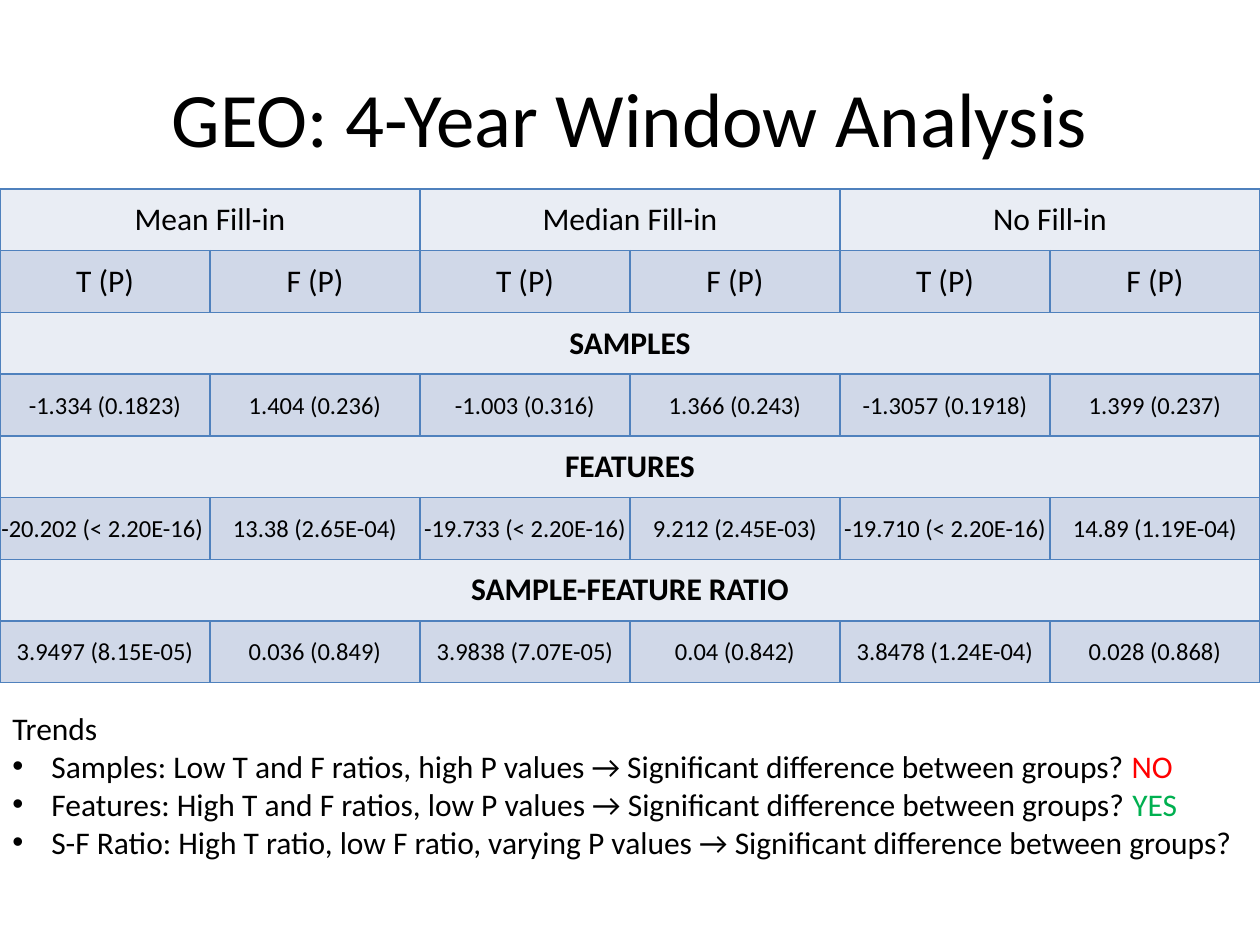
import pptx
import pptx.util
import pptx.dml.color
import pptx.enum.text
import pptx.oxml.ns
import lxml.etree

Inches = pptx.util.Inches
ALIGN = pptx.enum.text.PP_ALIGN
MIDDLE = pptx.enum.text.MSO_ANCHOR.MIDDLE

FONT = "Calibri"
COLORS = {
    "text": "000000",
    "no": "FF0000",
    "yes": "00B050",
    "light_band": "E9EDF4",
    "dark_band": "D0D8E8",
    "border": "4F81BD",
}

FILL_INS = ["Mean Fill-in", "Median Fill-in", "No Fill-in"]
COLUMNS = 2 * len(FILL_INS)
# Each section: heading and its row of statistics
SECTIONS = [
    ("SAMPLES", ["-1.334 (0.1823)", "1.404 (0.236)", "-1.003 (0.316)",
                 "1.366 (0.243)", "-1.3057 (0.1918)", "1.399 (0.237)"]),
    ("FEATURES", ["-20.202 (< 2.20E-16) ", "13.38 (2.65E-04)", "-19.733 (< 2.20E-16)",
                  "9.212 (2.45E-03)", "-19.710 (< 2.20E-16)", "14.89 (1.19E-04)"]),
    ("SAMPLE-FEATURE RATIO", ["3.9497 (8.15E-05)", "0.036 (0.849)", "3.9838 (7.07E-05)",
                              "0.04 (0.842)", "3.8478 (1.24E-04)", "0.028 (0.868)"]),
]
QUESTION = " → Significant difference between groups?"
TRENDS = [
    [("Samples: Low T and F ratios, high P values" + QUESTION + " ", "text"), ("NO", "no")],
    [("Features: High T and F ratios, low P values" + QUESTION + " ", "text"), ("YES", "yes")],
    [("S-F Ratio: High T ratio, low F ratio, varying P values" + QUESTION, "text")],
]


def rgb(name):
    return pptx.dml.color.RGBColor.from_string(COLORS[name])


def add_run(paragraph, text, size, color="text", bold=False):
    run = paragraph.add_run()
    run.text = text
    run.font.name = FONT
    run.font.size = pptx.util.Pt(size)
    run.font.bold = bold
    run.font.color.rgb = rgb(color)


def add_text_frame(slide, left, top, width, height):
    frame = slide.shapes.add_textbox(
        Inches(left), Inches(top), Inches(width), Inches(height)).text_frame
    frame.word_wrap = True
    return frame


def add_bullet(paragraph):
    properties = paragraph._p.get_or_add_pPr()
    properties.set("marL", str(Inches(0.31)))
    properties.set("indent", str(-Inches(0.31)))
    for tag, attribute, value in (("a:buFont", "typeface", "Arial"), ("a:buChar", "char", "•")):
        bullet = lxml.etree.SubElement(properties, pptx.oxml.ns.qn(tag))
        bullet.set(attribute, value)


def style_cell(cell, band):
    # Borders come before the fill in the cell properties
    properties = cell._tc.get_or_add_tcPr()
    for side in ("a:lnL", "a:lnR", "a:lnT", "a:lnB"):
        line = lxml.etree.SubElement(
            properties, pptx.oxml.ns.qn(side), w=str(pptx.util.Pt(1)))
        fill = lxml.etree.SubElement(line, pptx.oxml.ns.qn("a:solidFill"))
        lxml.etree.SubElement(fill, pptx.oxml.ns.qn("a:srgbClr"), val=COLORS["border"])
    cell.fill.solid()
    cell.fill.fore_color.rgb = rgb(band)
    cell.vertical_anchor = MIDDLE


def write_row(table, row, texts, size=18, bold=False):
    """Spread the texts evenly over the row, merging cells where needed."""
    span = COLUMNS // len(texts)
    for index, text in enumerate(texts):
        first = index * span
        cell = table.cell(row, first)
        if span > 1:
            cell.merge(table.cell(row, first + span - 1))
        paragraph = cell.text_frame.paragraphs[0]
        paragraph.alignment = ALIGN.CENTER
        add_run(paragraph, text, size, bold=bold)


def add_title(slide):
    frame = add_text_frame(slide, 0.5, 0.3, 9, 1.25)
    frame.vertical_anchor = MIDDLE
    title = frame.paragraphs[0]
    title.alignment = ALIGN.CENTER
    add_run(title, "GEO: 4-Year Window Analysis", 44)


def add_results(slide):
    row_count = 2 + 2 * len(SECTIONS)
    row_height = 0.49
    table = slide.shapes.add_table(
        row_count, COLUMNS, Inches(0), Inches(1.5),
        Inches(10), Inches(row_height * row_count)).table
    table.first_row = table.horz_banding = False
    for row in range(row_count):
        table.rows[row].height = Inches(row_height)
        for column in range(COLUMNS):
            style_cell(table.cell(row, column), "dark_band" if row % 2 else "light_band")

    # Header rows
    write_row(table, 0, FILL_INS)
    write_row(table, 1, ["T (P)", "F (P)"] * len(FILL_INS))

    # Section headings and statistics
    for index, (heading, statistics) in enumerate(SECTIONS):
        row = 2 + 2 * index
        write_row(table, row, [heading], bold=True)
        write_row(table, row + 1, statistics, size=14)
        for column in range(COLUMNS):
            cell = table.cell(row + 1, column)
            cell.margin_left = cell.margin_right = cell.margin_top = Inches(0.01)
            cell.margin_bottom = 0


def add_trends(slide):
    frame = add_text_frame(slide, 0, 5.58, 10, 1.31)
    frame.auto_size = pptx.enum.text.MSO_AUTO_SIZE.SHAPE_TO_FIT_TEXT
    add_run(frame.paragraphs[0], "Trends", 18)
    for trend in TRENDS:
        paragraph = frame.add_paragraph()
        add_bullet(paragraph)
        for text, color in trend:
            add_run(paragraph, text, 18, color)


def main():
    deck = pptx.Presentation()
    deck.slide_width, deck.slide_height = Inches(10), Inches(7.5)
    slide = deck.slides.add_slide(deck.slide_layouts[6])
    add_title(slide)
    add_results(slide)
    add_trends(slide)
    deck.save("out.pptx")


if __name__ == "__main__":
    main()
